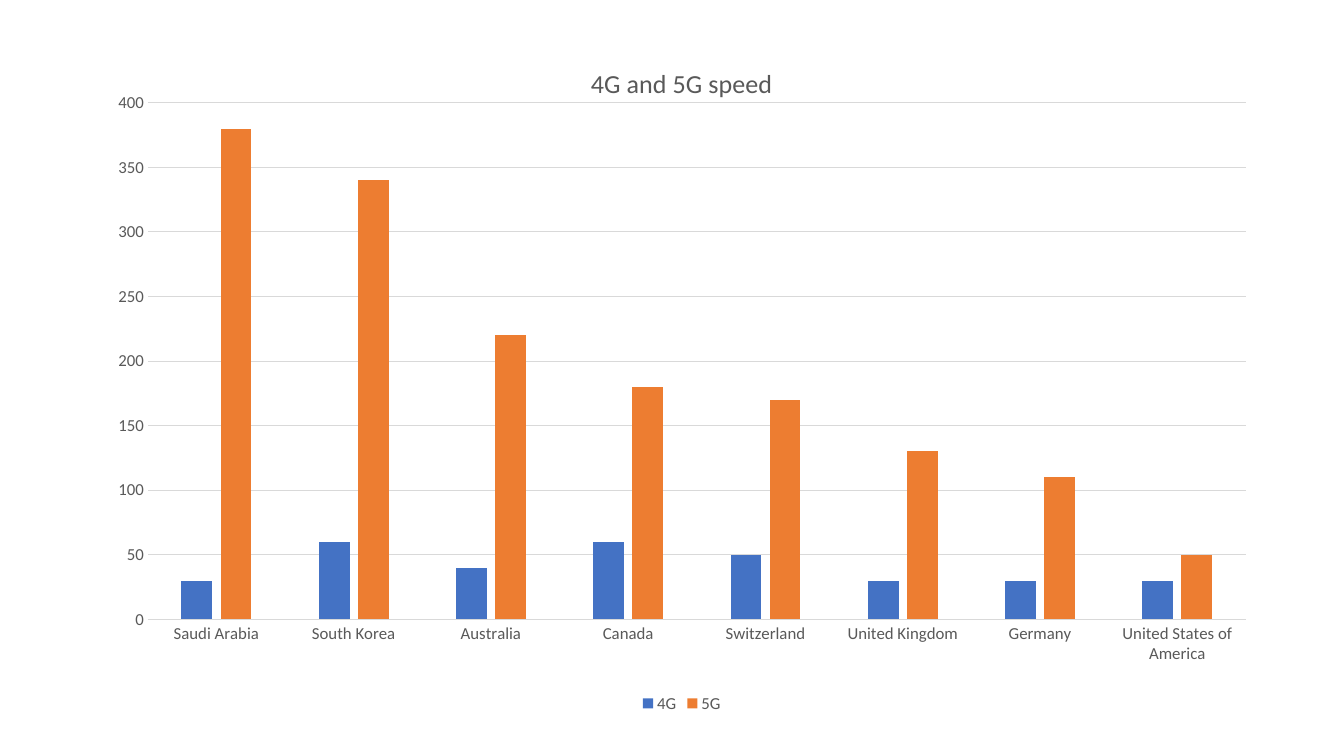
from dataclasses import dataclass

from lxml import etree
from pptx import Presentation
from pptx.chart.chart import Chart
from pptx.chart.data import CategoryChartData
from pptx.dml.color import RGBColor
from pptx.enum.chart import XL_CHART_TYPE, XL_LEGEND_POSITION, XL_TICK_MARK
from pptx.oxml.ns import qn
from pptx.util import Pt

COLUMNS = XL_CHART_TYPE.COLUMN_CLUSTERED
LEGEND_BOTTOM = XL_LEGEND_POSITION.BOTTOM
NO_TICK = XL_TICK_MARK.NONE
BLANK_LAYOUT = 6


@dataclass(frozen=True)
class Theme:
    font: str = "Calibri"
    text: RGBColor = RGBColor(0x59, 0x59, 0x59)
    rule: RGBColor = RGBColor(0xD9, 0xD9, 0xD9)
    title_size: float = 18.6
    label_size: float = 12
    rule_width: float = 0.75


@dataclass(frozen=True)
class SpeedSeries:
    name: str
    speeds: tuple[int, ...]
    color: RGBColor


THEME = Theme()
COUNTRIES = ("Saudi Arabia", "South Korea", "Australia", "Canada", "Switzerland",
             "United Kingdom", "Germany", "United States of America")
SERIES = (
    SpeedSeries("4G", (30, 60, 40, 60, 50, 30, 30, 30), RGBColor(0x44, 0x72, 0xC4)),
    SpeedSeries("5G", (380, 340, 220, 180, 170, 130, 110, 50), RGBColor(0xED, 0x7D, 0x31)),
)
PLOT_AREA = {"x": 0.041, "y": 0.091, "w": 0.944, "h": 0.764}


def style_font(font, size: float) -> None:
    font.name = THEME.font
    font.size = Pt(size)
    font.bold = False
    font.color.rgb = THEME.text


def style_rule(line) -> None:
    line.color.rgb = THEME.rule
    line.width = Pt(THEME.rule_width)


def place_plot(chart: Chart) -> None:
    """Fix the inner plot area as fractions of the chart."""
    plot_area = chart.element.find(f".//{qn('c:plotArea')}")
    layout = plot_area.find(qn("c:layout"))
    if layout is None:
        layout = etree.Element(qn("c:layout"))
        plot_area.insert(0, layout)
    manual = etree.SubElement(layout, qn("c:manualLayout"))
    settings = {"layoutTarget": "inner", "xMode": "edge", "yMode": "edge", **PLOT_AREA}
    for name, value in settings.items():
        etree.SubElement(manual, qn(f"c:{name}")).set("val", str(value))


def style_axes(chart: Chart) -> None:
    for axis in (chart.category_axis, chart.value_axis):
        axis.major_tick_mark = axis.minor_tick_mark = NO_TICK
        style_font(axis.tick_labels.font, THEME.label_size)
    style_rule(chart.category_axis.format.line)
    speed_axis = chart.value_axis
    speed_axis.minimum_scale, speed_axis.maximum_scale = 0, 400
    speed_axis.major_unit = 50
    speed_axis.format.line.fill.background()
    speed_axis.has_major_gridlines = True
    style_rule(speed_axis.major_gridlines.format.line)


def add_speed_chart(page) -> None:
    data = CategoryChartData()
    data.categories = COUNTRIES
    for series in SERIES:
        data.add_series(series.name, series.speeds)
    chart = page.shapes.add_chart(COLUMNS, Pt(71.5), Pt(29.5), Pt(831), Pt(483), data).chart
    style_font(chart.font, THEME.label_size)

    # Title and legend
    chart.has_title = True
    title = chart.chart_title
    title.include_in_layout = False
    title.text_frame.text = "4G and 5G speed"
    style_font(title.text_frame.paragraphs[0].runs[0].font, THEME.title_size)
    chart.has_legend = True
    chart.legend.position = LEGEND_BOTTOM
    chart.legend.include_in_layout = False
    style_font(chart.legend.font, THEME.label_size)

    # Columns
    plot = chart.plots[0]
    plot.vary_by_categories = False
    plot.gap_width, plot.overlap = 219, -27
    for columns, series in zip(plot.series, SERIES):
        columns.format.fill.solid()
        columns.format.fill.fore_color.rgb = series.color

    style_axes(chart)
    place_plot(chart)


def main() -> None:
    deck = Presentation()
    deck.slide_width, deck.slide_height = Pt(960), Pt(540)
    page = deck.slides.add_slide(deck.slide_layouts[BLANK_LAYOUT])
    add_speed_chart(page)
    deck.save("out.pptx")


if __name__ == "__main__":
    main()
